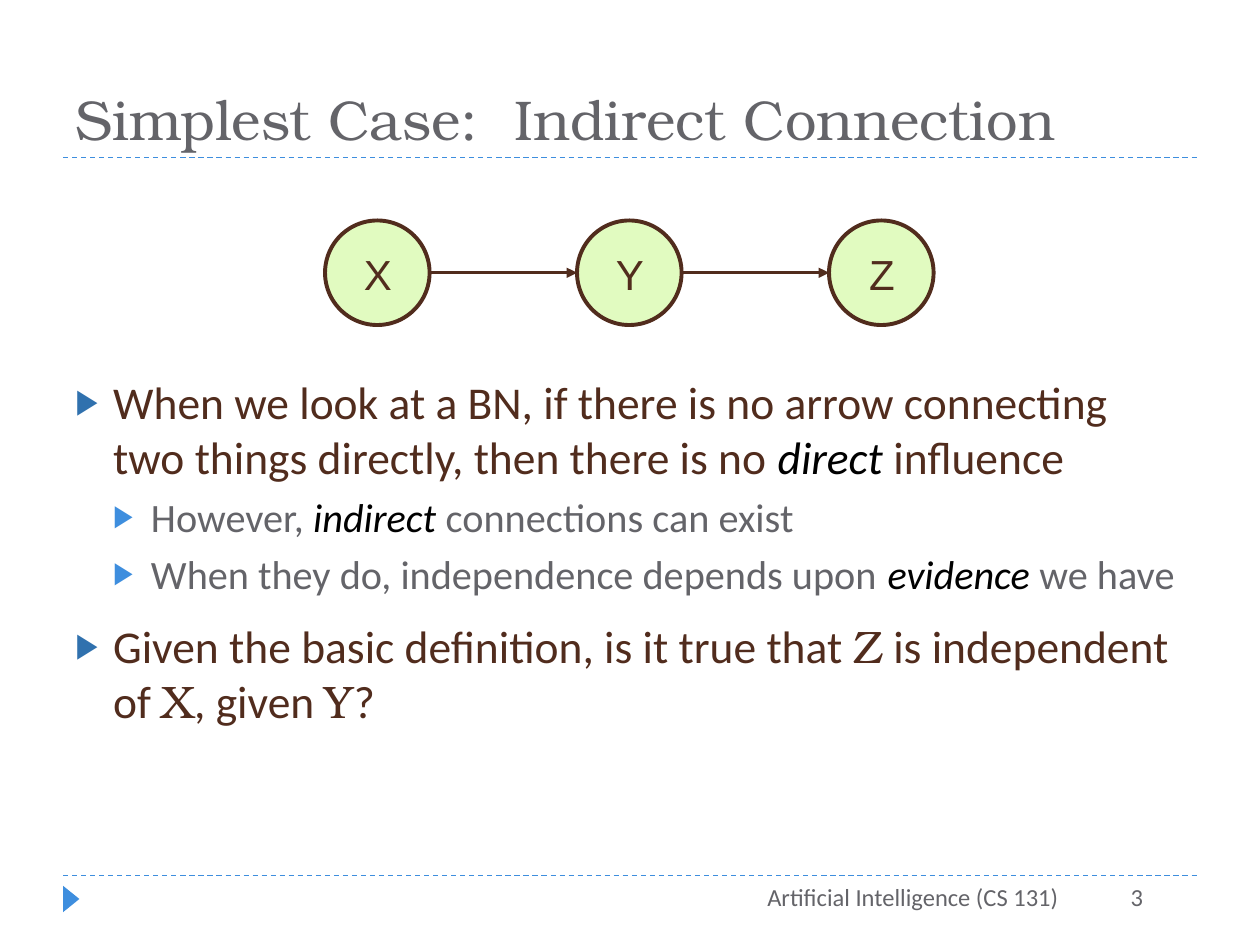
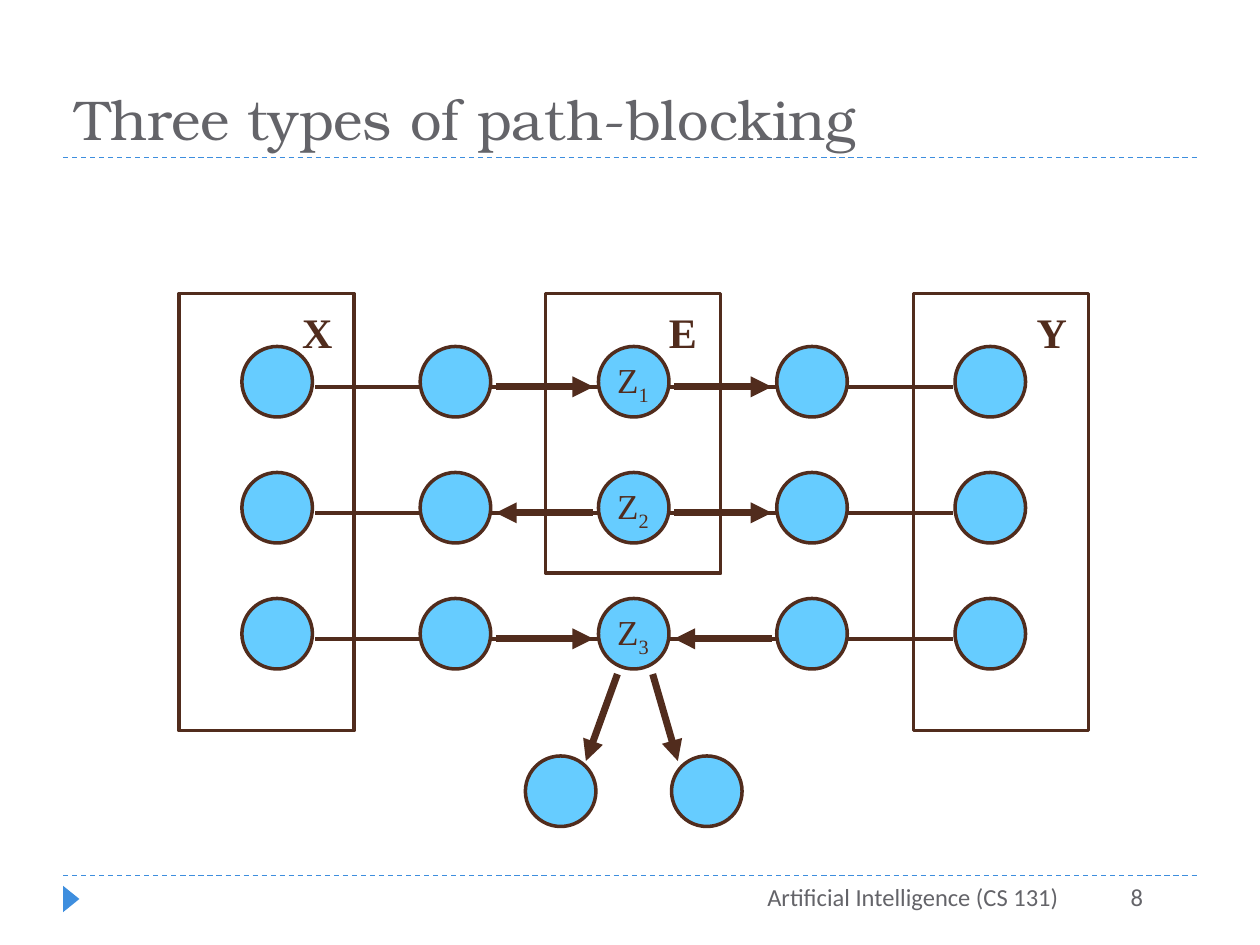
from lxml import etree
from pptx import Presentation
from pptx.dml.color import RGBColor
from pptx.enum.dml import MSO_LINE
from pptx.enum.shapes import MSO_CONNECTOR, MSO_SHAPE
from pptx.enum.text import MSO_ANCHOR, PP_ALIGN
from pptx.oxml.ns import qn
from pptx.util import Inches, Pt

COLORS = {
    "brown": "512C1D", "gray": "646469", "black": "000000", "white": "FFFFFF",
    "blue": "3E8EDE", "deep_blue": "3071AE", "green": "E1FBC0", "sky": "66CCFF",
}
SERIF, SANS, LABEL, MATH = "TeX Gyre Bonum", "Calibri", "Arial", "Times New Roman"
COURSE = "Artificial Intelligence (CS 131)"

# Each bullet: level, space after, spans of (text, kind)
BULLETS = [
    (0, 0, [("When we look at a BN, if there is no arrow connecting two things "
             "directly, then there is no ", "plain"), ("direct ", "stress"),
            ("influence", "plain")]),
    (1, 0, [("However, ", "plain"), ("indirect ", "stress"),
            ("connections can exist", "plain")]),
    (1, 6, [("When they do, independence depends upon ", "plain"),
            ("evidence ", "stress"), ("we have", "plain")]),
    (0, 0, [("Given the basic definition, is it true that ", "plain"),
            ("Z", "variable"), (" is independent of ", "plain"),
            ("X", "variable"), (", given ", "plain"), ("Y", "variable"),
            ("?", "plain")]),
]
# Per level: text size, text colour, bullet colour, space before
LEVELS = [(26, "brown", "deep_blue", 6), (23, "gray", "blue", 5)]

CHAIN = ["X", "Y", "Z"]
CHAIN_LEFT, CHAIN_TOP, CHAIN_STEP, CHAIN_SIZE = 2.58, 1.75, 2, 0.83

# Each set: name, left, height, label left, label width
NODE_SETS = [("Y", 7.25, 3.47, 8.13, 0.44), ("X", 1.42, 3.47, 2.3, 0.44),
             ("E", 4.33, 2.22, 5.21, 0.42)]
SET_TOP, SET_WIDTH = 2.33, 1.39
# Direction of the arrows on the left and on the right of Z1, Z2, Z3
PATHS = [("right", "right"), ("left", "right"), ("right", "left")]
NODE, NODE_LEFT, NODE_TOP, COLUMNS = 0.56, 1.92, 2.75, 5
COLUMN_STEP, ROW_STEP, PATH_DROP, ARROW_GAP = 1.415, 1, 0.32, 0.04
DESCENDANTS = [4.17, 5.33]
DESCENDANT_TOP = 6
DESCENDANT_ARROWS = [((4.9, 5.35), (4.65, 6.04)), ((5.18, 5.35), (5.38, 6.04))]


def rgb(color):
    return RGBColor.from_string(COLORS[color])


def style_run(run, size, font, color, bold=False, italic=False):
    run.font.size, run.font.name = Pt(size), font
    run.font.bold, run.font.italic = bold, italic
    run.font.color.rgb = rgb(color)


def add_outline(slide, preset, left, top, width, height, fill, line_width=None):
    shape = slide.shapes.add_shape(
        preset, Inches(left), Inches(top), Inches(width), Inches(height))
    shape.shadow.inherit = False
    shape.fill.solid()
    shape.fill.fore_color.rgb = rgb(fill)
    if line_width:
        shape.line.color.rgb = rgb("brown")
        shape.line.width = Pt(line_width)
    else:
        shape.line.fill.background()
    return shape


def add_line(slide, start, end, width, color="brown", dashed=False, arrow=None):
    """Draw a straight line; arrow is "headEnd" (at start) or "tailEnd" (at end)."""
    line = slide.shapes.add_connector(
        MSO_CONNECTOR.STRAIGHT, *(Inches(value) for value in (*start, *end)))
    line.line.color.rgb = rgb(color)
    line.line.width = Pt(width)
    if dashed:
        line.line.dash_style = MSO_LINE.DASH
    properties = line._element.spPr
    if arrow:
        etree.SubElement(properties.find(qn("a:ln")), qn(f"a:{arrow}"), type="triangle")
    etree.SubElement(properties, qn("a:effectLst"))


def add_box(slide, left, top, width, height, wrap=True):
    box = slide.shapes.add_textbox(
        Inches(left), Inches(top), Inches(width), Inches(height))
    box.text_frame.word_wrap = wrap
    return box.text_frame


def add_text(slide, text, place, size, font, color, align=PP_ALIGN.LEFT,
             bold=False, wrap=True):
    frame = add_box(slide, *place, wrap=wrap)
    frame.text = text
    paragraph = frame.paragraphs[0]
    paragraph.alignment = align
    style_run(paragraph.runs[0], size, font, color, bold)
    return frame


def add_base_slide(deck, title, number):
    slide = deck.slides.add_slide(deck.slide_layouts[6])
    for y in (6.95, 1.25):
        add_line(slide, (0.5, y), (9.5, y), 0.75, "blue", dashed=True)
    marker = add_outline(slide, MSO_SHAPE.ISOSCELES_TRIANGLE,
                         0.46, 7.07, 0.21, 0.13, "blue")
    marker.rotation = 90
    heading = add_text(slide, title, (0.5, 0.17, 9, 1.08), 32, SERIF, "gray")
    heading.vertical_anchor = MSO_ANCHOR.BOTTOM
    for text, left, width in ((COURSE, 3.83, 4.67), (str(number), 8.08, 1.09)):
        add_text(slide, text, (left, 6.95, width, 0.4), 14, SANS, "gray",
                 PP_ALIGN.RIGHT)
    return slide


def add_bullet_mark(paragraph, level, color):
    properties = paragraph._p.get_or_add_pPr()
    properties.set("marL", str(Inches(0.3 * (level + 1))))
    properties.set("indent", str(Inches(-0.3)))
    bullet_color = etree.SubElement(properties, qn("a:buClr"))
    etree.SubElement(bullet_color, qn("a:srgbClr"), val=COLORS[color])
    etree.SubElement(properties, qn("a:buSzPct"), val="76000")
    etree.SubElement(properties, qn("a:buFont"), typeface=LABEL)
    etree.SubElement(properties, qn("a:buChar"), char="▶")


def add_bullets(slide):
    frame = add_box(slide, 0.5, 2.92, 9, 3.82)
    for index, (level, after, spans) in enumerate(BULLETS):
        paragraph = frame.add_paragraph() if index else frame.paragraphs[0]
        size, color, bullet_color, before = LEVELS[level]
        paragraph.level = level
        paragraph.space_before, paragraph.space_after = Pt(before), Pt(after)
        add_bullet_mark(paragraph, level, bullet_color)
        for text, kind in spans:
            run = paragraph.add_run()
            run.text = text
            stressed = kind == "stress"
            style_run(run, size, SERIF if kind == "variable" else SANS,
                      "black" if stressed else color, italic=stressed)


def build_indirect_connection(deck):
    slide = add_base_slide(deck, "Simplest Case:  Indirect Connection", 3)
    add_bullets(slide)
    lefts = [CHAIN_LEFT + CHAIN_STEP * i for i in range(len(CHAIN))]
    for left in lefts:
        add_outline(slide, MSO_SHAPE.OVAL, left, CHAIN_TOP, CHAIN_SIZE, CHAIN_SIZE,
                    "green", 2.25)
    middle = CHAIN_TOP + CHAIN_SIZE / 2
    for left, next_left in zip(lefts, lefts[1:]):
        add_line(slide, (left + CHAIN_SIZE, middle), (next_left, middle), 1.5,
                 arrow="tailEnd")
    for name, left in zip(CHAIN, lefts):
        add_text(slide, name, (left + 0.17, CHAIN_TOP + 0.17, 0.5, 0.5), 24, LABEL,
                 "brown", PP_ALIGN.CENTER)


def build_path_blocking(deck):
    slide = add_base_slide(deck, "Three types of path-blocking", 8)
    for _, left, height, _, _ in NODE_SETS:
        add_outline(slide, MSO_SHAPE.RECTANGLE, left, SET_TOP, SET_WIDTH, height,
                    "white", 2)

    columns = [NODE_LEFT + COLUMN_STEP * i for i in range(COLUMNS)]
    for row, directions in enumerate(PATHS):
        top = NODE_TOP + ROW_STEP * row
        path_y = top + PATH_DROP
        add_line(slide, (columns[0] + NODE + 0.02, path_y),
                 (columns[-1] - 0.02, path_y), 2)
        for left in columns:
            add_outline(slide, MSO_SHAPE.OVAL, left, top, NODE, NODE, "sky", 2)
        for left, next_left, direction in zip(columns[1:], columns[2:], directions):
            add_line(slide, (left + NODE + ARROW_GAP, path_y),
                     (next_left - ARROW_GAP, path_y), 4,
                     arrow="tailEnd" if direction == "right" else "headEnd")

    for left in DESCENDANTS:
        add_outline(slide, MSO_SHAPE.OVAL, left, DESCENDANT_TOP, NODE, NODE, "sky", 2)
    for start, end in DESCENDANT_ARROWS:
        add_line(slide, start, end, 4, arrow="tailEnd")

    for name, _, _, label_left, label_width in NODE_SETS:
        add_text(slide, name, (label_left, 2.38, label_width, 0.5), 24, MATH, "brown",
                 bold=True, wrap=False)
    for row in range(len(PATHS)):
        place = (columns[2] + 0.05, NODE_TOP + ROW_STEP * row + 0.05, 0.46, 0.43)
        label = add_text(slide, "Z", place, 20, MATH, "brown", wrap=False)
        subscript = label.paragraphs[0].add_run()
        subscript.text = str(row + 1)
        style_run(subscript, 20, MATH, "brown")
        subscript.font._element.set("baseline", "-25000")


def main():
    deck = Presentation()
    deck.slide_width, deck.slide_height = Inches(10), Inches(7.5)
    build_indirect_connection(deck)
    build_path_blocking(deck)
    deck.save("out.pptx")


if __name__ == "__main__":
    main()
